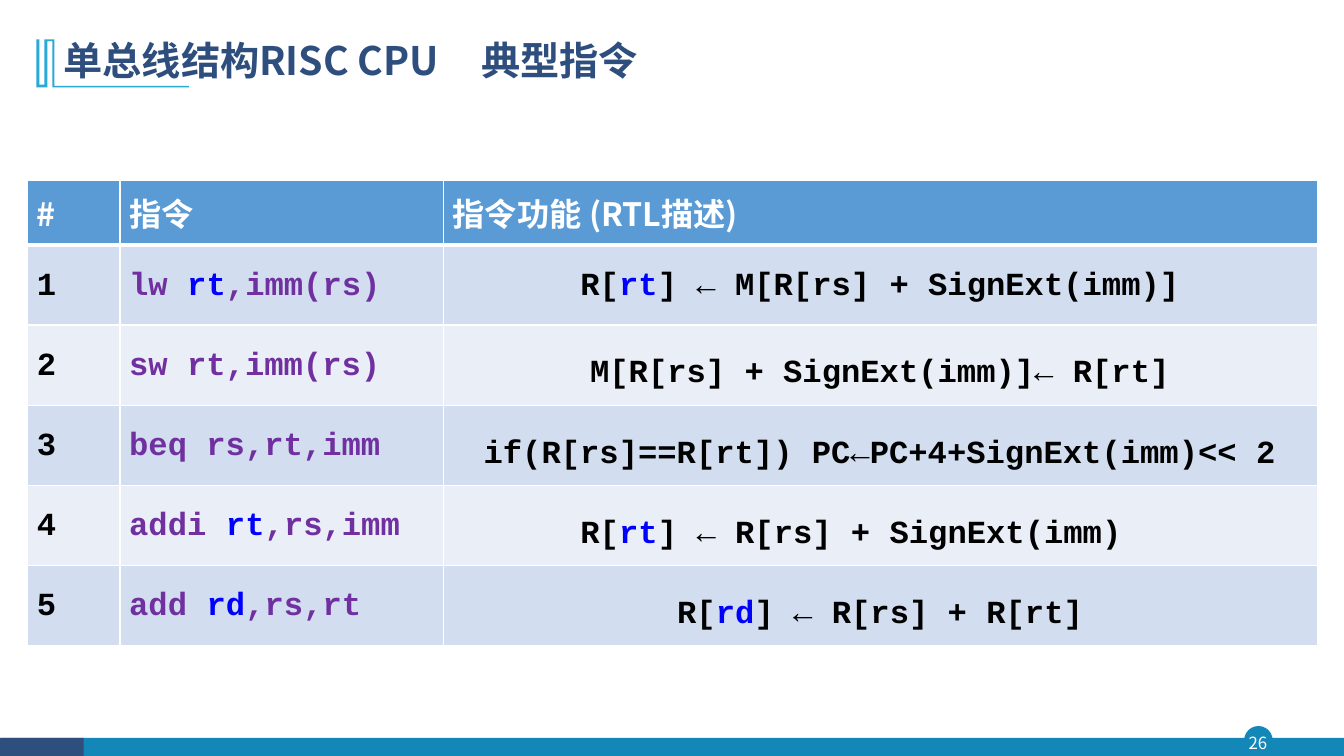
from lxml import etree
from pptx import Presentation
from pptx.dml.color import RGBColor
from pptx.enum.shapes import MSO_SHAPE
from pptx.enum.text import MSO_ANCHOR, MSO_AUTO_SIZE, PP_ALIGN
from pptx.oxml.ns import qn
from pptx.util import Pt

RECT, OVAL = MSO_SHAPE.RECTANGLE, MSO_SHAPE.OVAL
LEFT, CENTER = PP_ALIGN.LEFT, PP_ALIGN.CENTER
TOP, MIDDLE = MSO_ANCHOR.TOP, MSO_ANCHOR.MIDDLE
NO_FIT = MSO_AUTO_SIZE.NONE

SANS, MONO = "Noto Sans CJK SC", "Courier New"
WHITE, BLACK, NAVY, TEAL, CYAN = "FFFFFF", "000000", "2E4E7E", "1387B7", "28A9D6"
PURPLE, BLUE = "7030A0", "0000FF"
HEADER, BAND_DARK, BAND_LIGHT = "5B9BD5", "D2DEEF", "EAEFF7"
TABLE_SIZE = 23

MARK = [(38.9, 28.1), (38.9, 61.4), (134.9, 61.4), (134.9, 62.4), (37.4, 62.4),
        (37.4, 29.5), (33.8, 29.5), (33.8, 62.4), (25.9, 62.4), (25.9, 28.1),
        (28.1, 28.1), (28.1, 60.5), (31.7, 60.5), (31.7, 28.1)]

HEADS = ["#", "指令", "指令功能 (RTL描述)"]
WIDE, TIGHT = (6.6, 3.6, 6.6, 3.6), (5, 0, 5, 0)
SHIFTED = (5, 0, 46.4, 0)
INSTRUCTIONS = [
    ([("lw ", PURPLE), ("rt", BLUE), (",imm(rs)", PURPLE)],
     [("R[", BLACK), ("rt", BLUE), ("] ← M[R[rs] + SignExt(imm)]", BLACK)], TOP, WIDE),
    ([("sw rt,imm(rs)", PURPLE)],
     [("M[R[rs] + SignExt(imm)]← R[rt]", BLACK)], MIDDLE, TIGHT),
    ([("beq rs,rt,imm", PURPLE)],
     [("if(R[rs]==R[rt]) PC←PC+4+SignExt(imm)<< 2", BLACK)], MIDDLE, TIGHT),
    ([("addi ", PURPLE), ("rt", BLUE), (",rs,imm", PURPLE)],
     [("R[", BLACK), ("rt", BLUE), ("] ← R[rs] + SignExt(imm)", BLACK)], MIDDLE, SHIFTED),
    ([("add ", PURPLE), ("rd", BLUE), (",rs,rt", PURPLE)],
     [("R[", BLACK), ("rd", BLUE), ("] ← R[rs] + R[rt]", BLACK)], MIDDLE, TIGHT),
]


def rgb(value):
    return RGBColor.from_string(value)


class Deck:
    def __init__(self, width, height):
        self.prs = Presentation()
        self.prs.slide_width, self.prs.slide_height = Pt(width), Pt(height)
        self.s = self.prs.slides.add_slide(self.prs.slide_layouts[5])

    def run(self, p, text, size, color, font=SANS, bold=False):
        r = p.add_run()
        r.text = text
        r.font.size, r.font.bold, r.font.name = Pt(size), bold, font
        r.font.color.rgb = rgb(color)
        etree.SubElement(r.font._element, qn("a:ea"), typeface=font)

    def paint(self, sp, color):
        sp.shadow.inherit = False
        sp.fill.solid()
        sp.fill.fore_color.rgb = rgb(color)
        sp.line.fill.background()
        return sp

    def shape(self, kind, x, y, w, h, color):
        sp = self.s.shapes.add_shape(kind, Pt(x), Pt(y), Pt(w), Pt(h))
        return self.paint(sp, color)

    def outline(self, points, color):
        points = [(Pt(x), Pt(y)) for x, y in points]
        builder = self.s.shapes.build_freeform(*points[0], scale=1.0)
        builder.add_line_segments(points[1:], close=True)
        return self.paint(builder.convert_to_shape(), color)

    def text(self, x, y, w, h, text, size, color):
        tf = self.s.shapes.add_textbox(Pt(x), Pt(y), Pt(w), Pt(h)).text_frame
        tf.word_wrap, tf.vertical_anchor = True, MIDDLE
        tf.margin_left = tf.margin_top = tf.margin_right = tf.margin_bottom = 0
        p = tf.paragraphs[0]
        p.alignment = CENTER
        self.run(p, text, size, color)

    def title(self, x, y, w, h, text, tab):
        sp = self.s.shapes.title
        sp.left, sp.top, sp.width, sp.height = Pt(x), Pt(y), Pt(w), Pt(h)
        tf = sp.text_frame
        tf.auto_size, tf.vertical_anchor, tf.word_wrap = NO_FIT, MIDDLE, True
        p = tf.paragraphs[0]
        p.alignment, p.line_spacing = LEFT, 0.9
        tabs = etree.SubElement(p._p.get_or_add_pPr(), qn("a:tabLst"))
        etree.SubElement(tabs, qn("a:tab"), pos=str(Pt(tab)), algn="l")
        self.run(p, text, 28, NAVY, bold=True)

    def table(self, x, y, widths, heights):
        frame = self.s.shapes.add_table(len(heights), len(widths), Pt(x), Pt(y),
                                        Pt(sum(widths)), Pt(sum(heights)))
        for column, width in zip(frame.table.columns, widths):
            column.width = Pt(width)
        for row, height in zip(frame.table.rows, heights):
            row.height = Pt(height)
        return frame.table

    def cell(self, cell, runs, fill, font=MONO, spacing=1.5, align=LEFT,
             anchor=TOP, margins=WIDE, top=1, bottom=1):
        tc_pr = cell._tc.get_or_add_tcPr()
        for side, width in zip("LRTB", (1, 1, top, bottom)):
            ln = etree.SubElement(tc_pr, qn(f"a:ln{side}"), w=str(Pt(width)))
            solid = etree.SubElement(ln, qn("a:solidFill"))
            etree.SubElement(solid, qn("a:srgbClr"), val=WHITE)
        cell.fill.solid()
        cell.fill.fore_color.rgb = rgb(fill)
        cell.vertical_anchor = anchor
        (cell.margin_left, cell.margin_top,
         cell.margin_right, cell.margin_bottom) = map(Pt, margins)
        p = cell.text_frame.paragraphs[0]
        p.alignment, p.line_spacing = align, spacing
        for text, color in runs:
            self.run(p, text, TABLE_SIZE, color, font, True)


def main():
    deck = Deck(960, 540)
    badge = deck.shape(OVAL, 889.2, 519.1, 19.4, 19.4, TEAL)
    badge.line.color.rgb = rgb(TEAL)
    badge.line.width = Pt(1)
    deck.shape(RECT, 0.7, 527, 959.3, 13.4, TEAL)
    deck.shape(RECT, 0, 527, 59.8, 13.4, NAVY)
    deck.text(887, 519.1, 23, 22.3, "26", 12, WHITE)
    deck.outline(MARK, CYAN)
    deck.title(38.2, 20.2, 828, 49, "单总线结构RISC CPU\t典型指令", 298.5)

    tbl = deck.table(19.7, 128.9, [66, 231.1, 624.2], [46] + [57.3] * len(INSTRUCTIONS))
    for col, head in enumerate(HEADS):
        deck.cell(tbl.cell(0, col), [(head, WHITE)], HEADER, SANS, 1.0,
                  anchor=MIDDLE, bottom=3)
    for row, (code, effect, anchor, margins) in enumerate(INSTRUCTIONS, 1):
        fill = BAND_DARK if row % 2 else BAND_LIGHT
        top = 3 if row == 1 else 1
        deck.cell(tbl.cell(row, 0), [(str(row), BLACK)], fill, top=top)
        deck.cell(tbl.cell(row, 1), code, fill, top=top)
        deck.cell(tbl.cell(row, 2), effect, fill, align=CENTER, anchor=anchor,
                  margins=margins, top=top)
    deck.prs.save("out.pptx")


if __name__ == "__main__":
    main()
